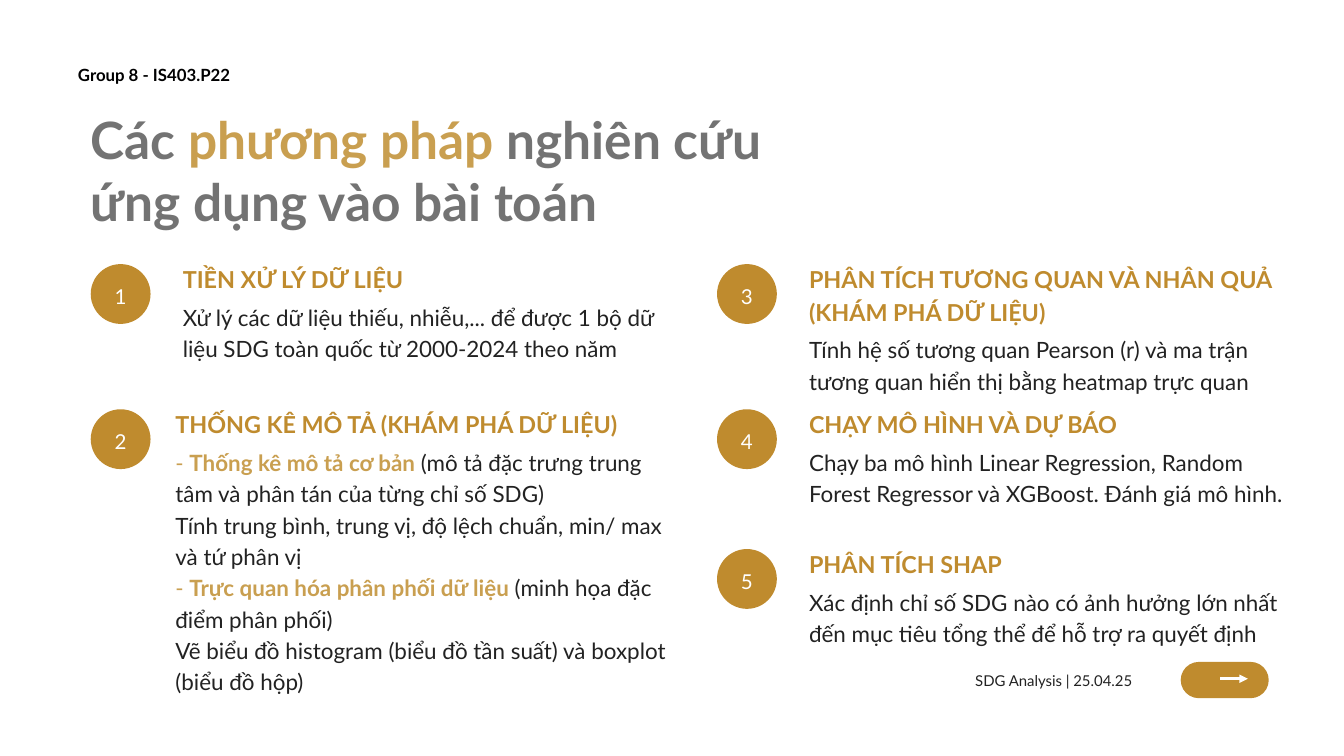
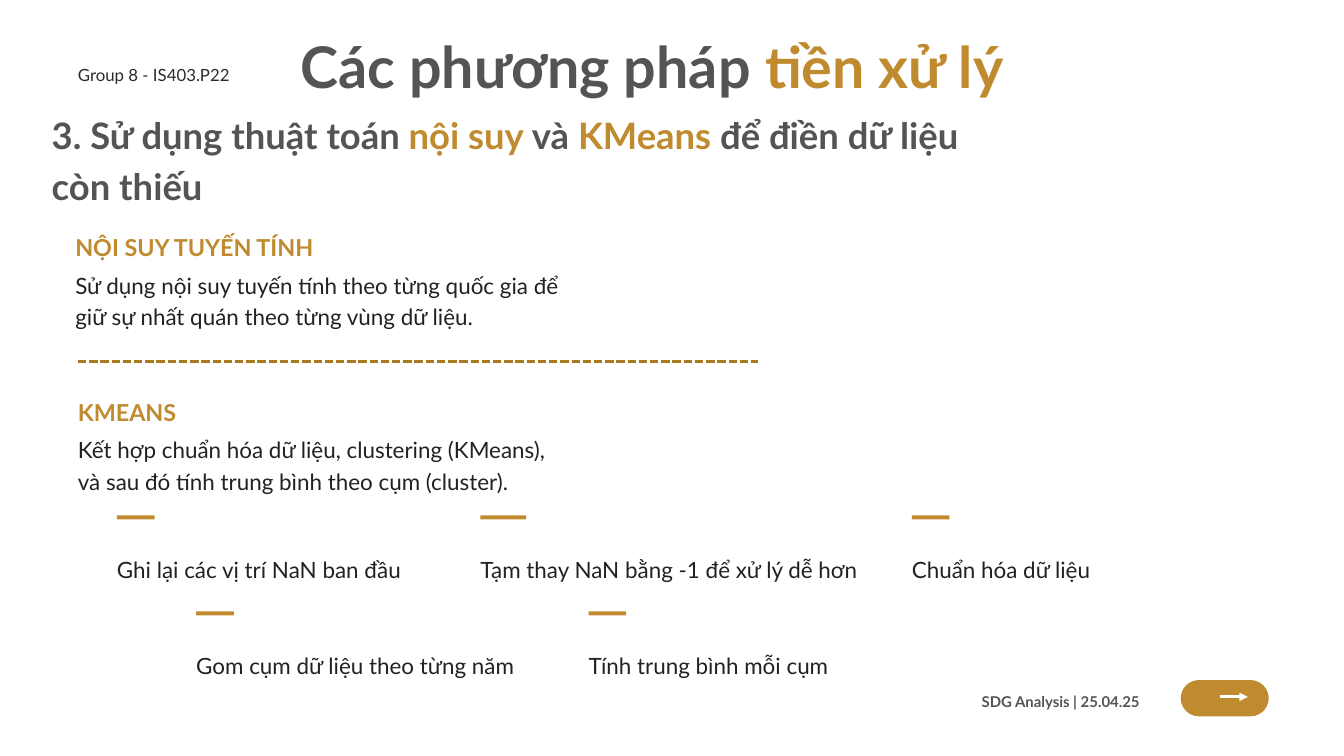
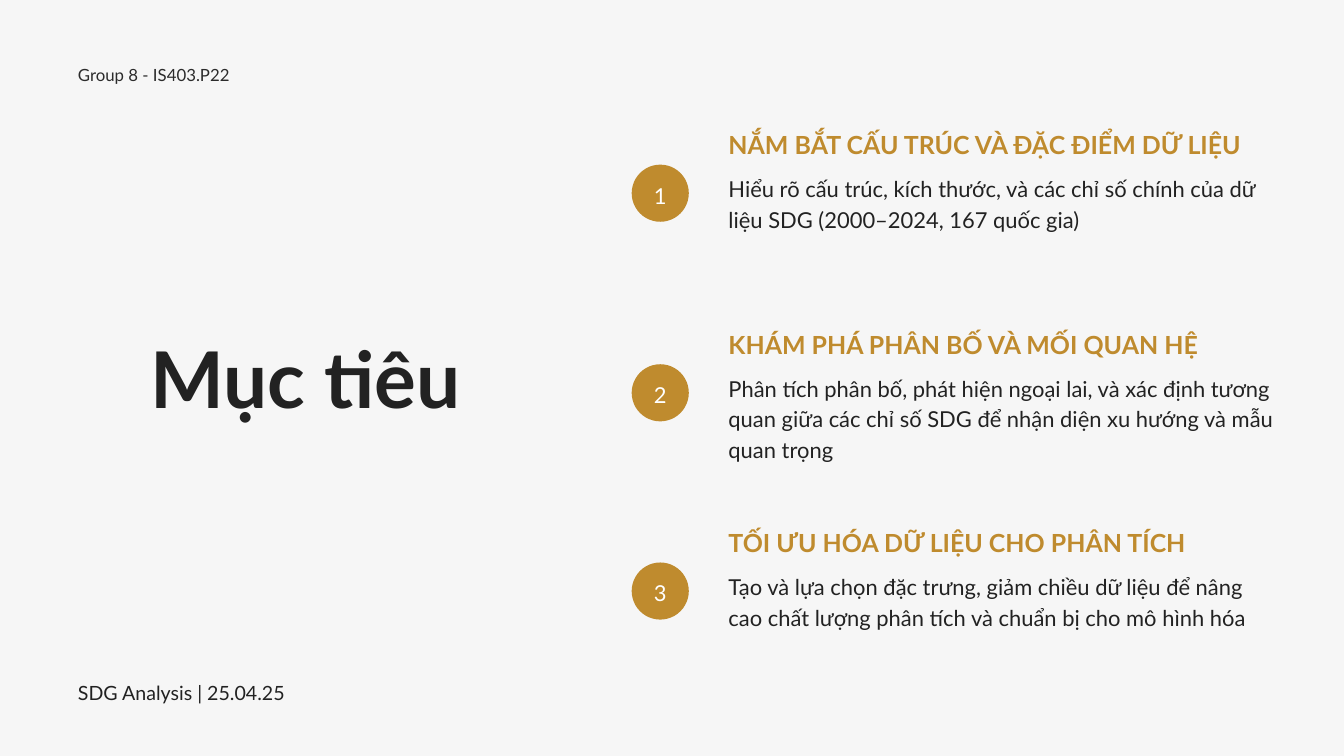
from dataclasses import dataclass

from lxml import etree
from pptx import Presentation
from pptx.dml.color import RGBColor
from pptx.enum.dml import MSO_LINE
from pptx.enum.shapes import MSO_CONNECTOR, MSO_SHAPE
from pptx.enum.text import MSO_ANCHOR, MSO_AUTO_SIZE, PP_ALIGN
from pptx.oxml.ns import qn
from pptx.util import Inches, Pt

OVAL, PILL, BAR = MSO_SHAPE.OVAL, MSO_SHAPE.ROUNDED_RECTANGLE, MSO_SHAPE.RECTANGLE
STRAIGHT = MSO_CONNECTOR.STRAIGHT
SHORT_DASH = MSO_LINE.SQUARE_DOT
LEFT, CENTER, RIGHT, JUSTIFY = PP_ALIGN.LEFT, PP_ALIGN.CENTER, PP_ALIGN.RIGHT, PP_ALIGN.JUSTIFY
MIDDLE = MSO_ANCHOR.MIDDLE
GROW = MSO_AUTO_SIZE.SHAPE_TO_FIT_TEXT

FONT = "Lato"
GOLD = RGBColor(0xBF, 0x8B, 0x2E)
LIGHT_GOLD = RGBColor(0xC9, 0x9F, 0x50)
DARK_GOLD = RGBColor(0xA9, 0x7A, 0x1D)
INK = RGBColor(0x22, 0x22, 0x22)
BLACK = RGBColor(0x00, 0x00, 0x01)
CHARCOAL = RGBColor(0x2B, 0x2B, 0x2B)
DARK_GRAY = RGBColor(0x54, 0x54, 0x54)
GRAY = RGBColor(0x73, 0x73, 0x73)
WHITE = RGBColor(0xFF, 0xFF, 0xFF)
PALE = RGBColor(0xF6, 0xF6, 0xF6)

BODY_SPACING, TITLE_SPACING = 1.4, 1.2


@dataclass
class SectionStyle:
    heading_size: float
    body_size: float
    gap: float
    badge_size: float = 0
    badge_drop: float = 0
    number_size: float = 0


COMPACT = SectionStyle(25, 24, 0.09, 0.89, 0.05, 22)
ROOMY = SectionStyle(26.7, 23.5, 0.17, 0.85, 0.59, 23.5)

HEADER = "Group 8 - IS403.P22"
FOOTER = "SDG Analysis | 25.04.25"

METHODS_TITLE = [("Các ", GRAY, True), ("phương pháp", LIGHT_GOLD, True),
                 (" nghiên cứu ứng dụng vào bài toán", GRAY, True)]
DESCRIPTIVE_BODY = [
    [("- ", LIGHT_GOLD, False), ("Thống kê mô tả cơ bản", LIGHT_GOLD, True),
     (" (mô tả đặc trưng trung tâm và phân tán của từng chỉ số SDG)", INK, False)],
    [("Tính trung bình, trung vị, độ lệch chuẩn, min/ max và tứ phân vị", INK, False)],
    [("- ", LIGHT_GOLD, False), ("Trực quan hóa phân phối dữ liệu", LIGHT_GOLD, True),
     (" (minh họa đặc điểm phân phối)", INK, False)],
    [("Vẽ biểu đồ histogram (biểu đồ tần suất) và boxplot (biểu đồ hộp)", INK, False)],
]
# badge left, text left, top, width, heading, heading lines, body, body lines
METHODS = [
    (1.35, 2.72, 3.88, 7.28, "TIỀN XỬ LÝ DỮ LIỆU", 1,
     "Xử lý các dữ liệu thiếu, nhiễu,... để được 1 bộ dữ liệu SDG toàn quốc từ 2000-2024 theo năm", 2),
    (1.35, 2.61, 6.04, 7.56, "THỐNG KÊ MÔ TẢ (KHÁM PHÁ DỮ LIỆU)", 1, DESCRIPTIVE_BODY, 8),
    (10.67, 12.04, 3.88, 7.2, "PHÂN TÍCH TƯƠNG QUAN VÀ NHÂN QUẢ (KHÁM PHÁ DỮ LIỆU)", 2,
     "Tính hệ số tương quan Pearson (r) và ma trận tương quan hiển thị bằng heatmap trực quan", 2),
    (10.67, 12.04, 6.04, 7.2, "CHẠY MÔ HÌNH VÀ DỰ BÁO", 1,
     "Chạy ba mô hình Linear Regression, Random Forest Regressor và XGBoost. Đánh giá mô hình.", 2),
    (10.67, 12.04, 8.12, 7.2, "PHÂN TÍCH SHAP", 1,
     "Xác định chỉ số SDG nào có ảnh hưởng lớn nhất đến mục tiêu tổng thể để hỗ trợ ra quyết định", 2),
]

PREPROCESSING_TITLE = [("Các phương pháp ", DARK_GRAY, True), ("tiền xử lý", GOLD, True)]
PREPROCESSING_SUBTITLE = [
    ("3. Sử dụng thuật toán ", DARK_GRAY, True), ("nội suy", GOLD, True), (" và ", DARK_GRAY, True),
    ("KMeans", GOLD, True), (" để điền dữ liệu còn thiếu", DARK_GRAY, True),
]
# left, top, heading, body
ALGORITHMS = [
    (1.12, 3.4, "NỘI SUY TUYẾN TÍNH",
     "Sử dụng nội suy tuyến tính theo từng quốc gia để giữ sự nhất quán theo từng vùng dữ liệu."),
    (1.16, 5.85, "KMEANS",
     "Kết hợp chuẩn hóa dữ liệu, clustering (KMeans), và sau đó tính trung bình theo cụm (cluster)."),
]
# left, top, text width, bar width, label
KMEANS_STEPS = [
    (1.74, 7.67, 4.9, 0.56, "Ghi lại các vị trí NaN ban đầu"),
    (7.15, 7.67, 5.91, 0.68, "Tạm thay NaN bằng -1 để xử lý dễ hơn"),
    (13.57, 7.67, 4.9, 0.56, "Chuẩn hóa dữ liệu"),
    (2.92, 9.1, 4.9, 0.56, "Gom cụm dữ liệu theo từng năm"),
    (8.76, 9.1, 4.9, 0.56, "Tính trung bình mỗi cụm"),
]

# top, heading, body, body lines
GOALS = [
    (1.86, "NẮM BẮT CẤU TRÚC VÀ ĐẶC ĐIỂM DỮ LIỆU",
     "Hiểu rõ cấu trúc, kích thước, và các chỉ số chính của dữ liệu SDG (2000–2024, 167 quốc gia)", 2),
    (4.83, "KHÁM PHÁ PHÂN BỐ VÀ MỐI QUAN HỆ",
     "Phân tích phân bố, phát hiện ngoại lai, và xác định tương quan giữa các chỉ số SDG "
     "để nhận diện xu hướng và mẫu quan trọng", 3),
    (7.78, "TỐI ƯU HÓA DỮ LIỆU CHO PHÂN TÍCH",
     "Tạo và lựa chọn đặc trưng, giảm chiều dữ liệu để nâng cao chất lượng phân tích "
     "và chuẩn bị cho mô hình hóa", 2),
]


def new_slide(presentation, background):
    slide = presentation.slides.add_slide(presentation.slide_layouts[6])
    slide.background.fill.solid()
    slide.background.fill.fore_color.rgb = background
    return slide


def write(frame, paragraphs, size, spacing=BODY_SPACING, align=LEFT):
    """Fill a text frame; each paragraph is a list of (text, colour, bold) runs."""
    frame.margin_left = frame.margin_right = frame.margin_top = frame.margin_bottom = 0
    frame.word_wrap = True
    for index, runs in enumerate(paragraphs):
        paragraph = frame.add_paragraph() if index else frame.paragraphs[0]
        paragraph.alignment = align
        paragraph.line_spacing = Pt(round(size * spacing, 1))
        for text, color, bold in runs:
            run = paragraph.add_run()
            run.text = text
            run.font.name = FONT
            run.font.size = Pt(size)
            run.font.bold = bold
            run.font.color.rgb = color


def add_text(slide, left, top, width, paragraphs, size, lines=1, spacing=BODY_SPACING, align=LEFT):
    height = lines * size * spacing / 72
    box = slide.shapes.add_textbox(Inches(left), Inches(top), Inches(width), Inches(height))
    write(box.text_frame, paragraphs, size, spacing, align)
    box.text_frame.auto_size = GROW


def add_gold_shape(slide, kind, left, top, width, height):
    shape = slide.shapes.add_shape(kind, Inches(left), Inches(top), Inches(width), Inches(height))
    shape.shadow.inherit = False
    shape.fill.solid()
    shape.fill.fore_color.rgb = GOLD
    shape.line.fill.background()
    return shape


def add_line(slide, left, right, y, color):
    line = slide.shapes.add_connector(STRAIGHT, Inches(left), Inches(y), Inches(right), Inches(y))
    line.line.color.rgb = color
    line.line.width = Pt(3)
    etree.SubElement(line._element.spPr, qn("a:effectLst"))
    return line


def add_section(slide, style, left, top, width, heading, heading_lines, body, body_lines):
    """Add a gold heading with its body text below."""
    add_text(slide, left, top, width, [[(heading, GOLD, True)]], style.heading_size, heading_lines)
    paragraphs = [[(body, INK, False)]] if isinstance(body, str) else body
    body_top = top + heading_lines * style.heading_size * BODY_SPACING / 72 + style.gap
    add_text(slide, left, body_top, width, paragraphs, style.body_size, body_lines)


def add_badge(slide, style, number, left, section_top):
    badge = add_gold_shape(slide, OVAL, left, section_top + style.badge_drop,
                           style.badge_size, style.badge_size)
    badge.text_frame.vertical_anchor = MIDDLE
    write(badge.text_frame, [[(str(number), WHITE, False)]], style.number_size, align=CENTER)


def add_header(slide, color, bold=False):
    add_text(slide, 1.16, 0.97, 4.98, [[(HEADER, color, bold)]], 18, spacing=TITLE_SPACING)


def add_footer(slide, left, top, width, color, bold=False, size=16, align=RIGHT):
    add_text(slide, left, top, width, [[(FOOTER, color, bold)]], size, align=align)


def add_next_button(slide, top):
    button = add_gold_shape(slide, PILL, 17.57, top, 1.31, 0.54)
    button.adjustments[0] = 0.5
    arrow = add_line(slide, 18.16, 18.57, top + 0.25, WHITE)
    etree.SubElement(arrow.line._get_or_add_ln(), qn("a:tailEnd"), type="triangle")


def build_methods(presentation):
    slide = new_slide(presentation, WHITE)
    add_header(slide, BLACK, bold=True)
    add_text(slide, 1.35, 1.61, 10.21, [METHODS_TITLE], 55.1, lines=2, spacing=TITLE_SPACING)
    for number, (badge_left, left, top, *content) in enumerate(METHODS, 1):
        add_section(slide, COMPACT, left, top, *content)
        add_badge(slide, COMPACT, number, badge_left, top)
    add_footer(slide, 14.5, 9.95, 2.35, INK)
    add_next_button(slide, 9.85)


def build_preprocessing(presentation):
    slide = new_slide(presentation, WHITE)
    add_header(slide, CHARCOAL)
    add_text(slide, 4.47, 0.47, 11.81, [PREPROCESSING_TITLE], 61.5, spacing=TITLE_SPACING)
    add_text(slide, 0.77, 1.58, 14.43, [PREPROCESSING_SUBTITLE], 39, lines=2)
    for left, top, heading, body in ALGORITHMS:
        add_section(slide, COMPACT, left, top, 7.28, heading, 1, body, 2)
    divider = add_line(slide, 1.16, 11.28, 5.38, DARK_GOLD)
    divider.line.dash_style = SHORT_DASH
    for left, top, width, bar_width, label in KMEANS_STEPS:
        add_gold_shape(slide, BAR, left, top, bar_width, 0.06)
        add_text(slide, left, top + 0.54, width, [[(label, INK, False)]], 24)
    add_footer(slide, 14.59, 10.26, 2.37, DARK_GRAY, bold=True)
    add_next_button(slide, 10.12)


def build_goals(presentation):
    slide = new_slide(presentation, PALE)
    add_header(slide, CHARCOAL)
    add_text(slide, 2.24, 4.92, 4.94, [[("Mục tiêu", INK, True)]], 83.8, spacing=TITLE_SPACING)
    for number, (top, heading, body, lines) in enumerate(GOALS, 1):
        add_section(slide, ROOMY, 10.84, top, 8.19, heading, 1, body, lines)
        add_badge(slide, ROOMY, number, 9.4, top)
    add_footer(slide, 1.16, 10.07, 6.06, INK, size=21, align=JUSTIFY)


def main():
    presentation = Presentation()
    presentation.slide_width = Inches(20)
    presentation.slide_height = Inches(11.25)
    build_methods(presentation)
    build_preprocessing(presentation)
    build_goals(presentation)
    presentation.save("out.pptx")


if __name__ == "__main__":
    main()
